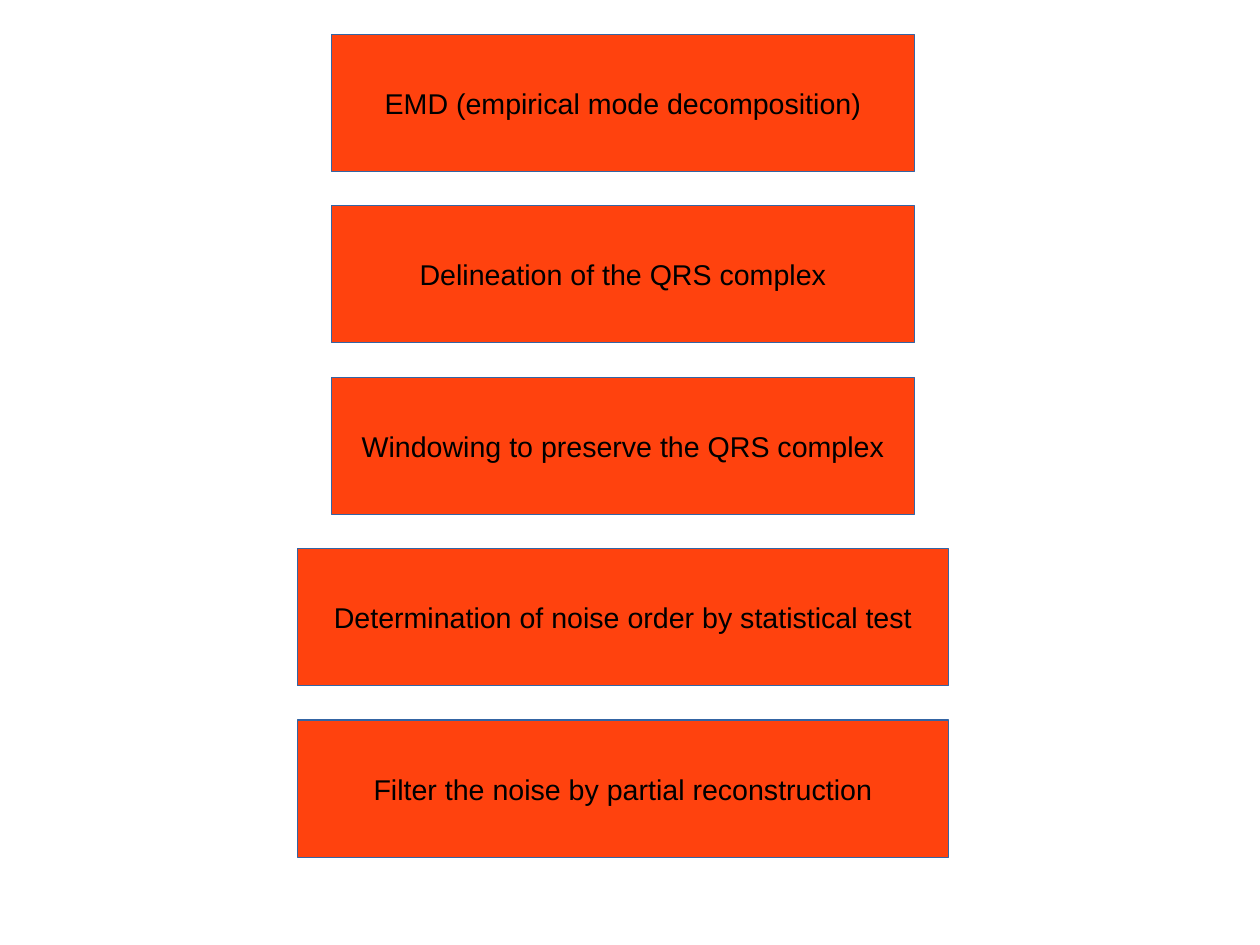
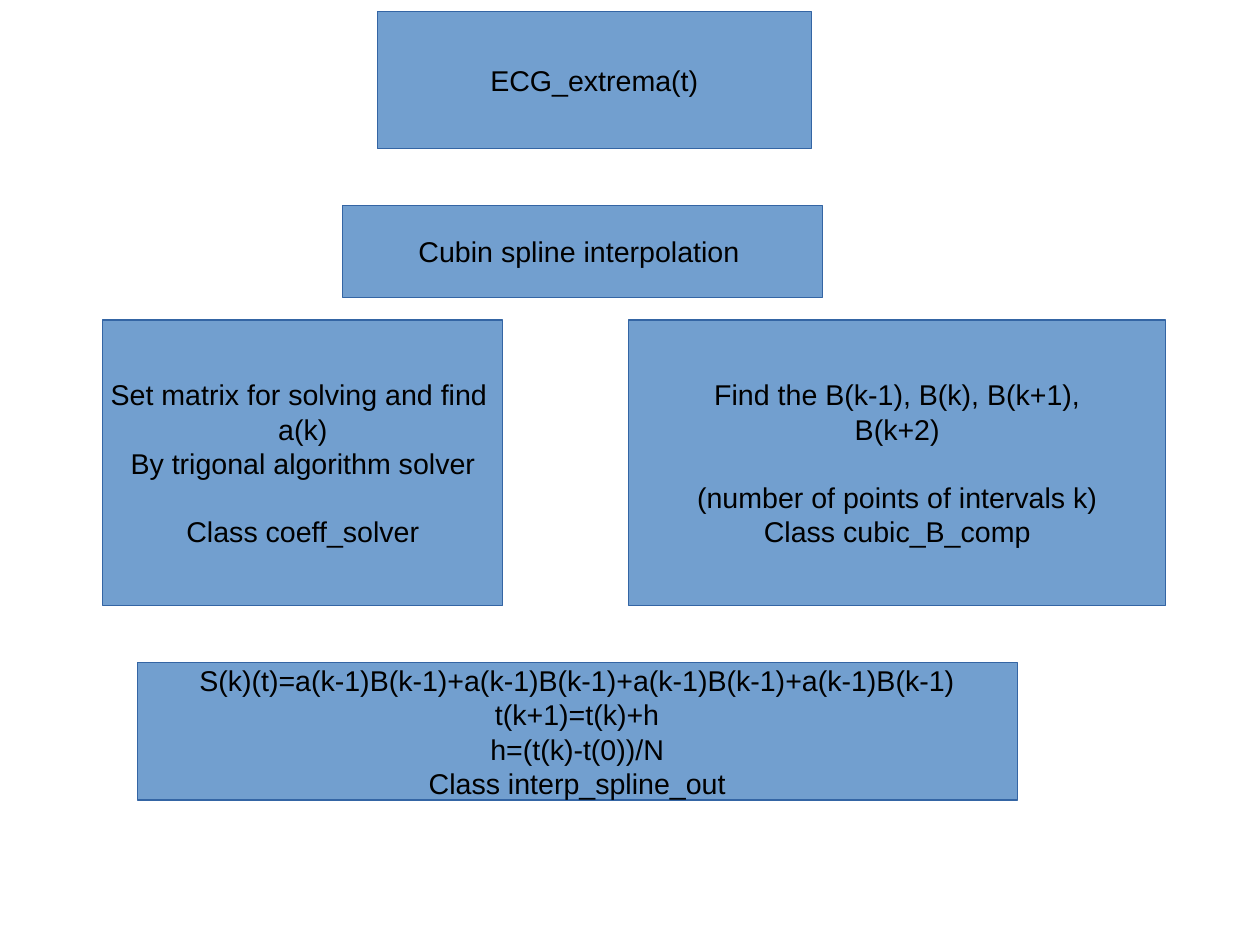
"""Builds two slides of boxes: the ECG noise filter steps and the spline steps."""
from pptx import Presentation
from pptx.dml.color import RGBColor
from pptx.enum.shapes import MSO_SHAPE
from pptx.enum.text import MSO_ANCHOR, PP_ALIGN
from pptx.util import Pt

SLIDE_WIDTH, SLIDE_HEIGHT = 793.7, 595.28
ORANGE = RGBColor(0xFF, 0x42, 0x0E)
BLUE = RGBColor(0x72, 0x9F, 0xCF)
OUTLINE = RGBColor(0x34, 0x65, 0xA4)
BLACK = RGBColor(0, 0, 0)
FONT, FONT_SIZE, GROUP_GAP = "Arial", 18, 21.6

# Filter steps from top to bottom: box width, text
FILTER_STEPS = [
    (367.2, "EMD (empirical mode decomposition)"),
    (367.2, "Delineation of the QRS complex"),
    (367.2, "Windowing to preserve the QRS complex"),
    (410.4, "Determination of noise order by statistical test"),
    (410.4, "Filter the noise by partial reconstruction"),
]
STEP_CENTER, STEP_TOP, STEP_HEIGHT, STEP_GAP = 392.4, 21.6, 86.4, 21.6

# Spline boxes: (left, top, width, height), groups of lines set apart by a gap
SPLINE_BOXES = [
    ((216, 129.6, 302.4, 57.6), [["Cubin spline interpolation "]]),
    ((237.6, 7.2, 273.6, 86.4), [["ECG_extrema(t)"]]),
    ((396, 201.6, 338.4, 180), [
        ["Find the B(k-1), B(k), B(k+1),", "B(k+2)"],
        ["(number of points of intervals k)", "Class cubic_B_comp"],
    ]),
    ((64.8, 201.6, 252, 180), [
        ["Set matrix for solving and find ", "a(k)", "By trigonal algorithm solver"],
        ["Class coeff_solver"],
    ]),
    ((86.4, 417.6, 554.4, 86.4), [[
        "S(k)(t)=a(k-1)B(k-1)+a(k-1)B(k-1)+a(k-1)B(k-1)+a(k-1)B(k-1)",
        "t(k+1)=t(k)+h",
        "h=(t(k)-t(0))/N",
        "Class interp_spline_out",
    ]]),
]


def add_box(slide, bounds, groups, fill):
    """Add an outlined box with centred lines and a gap between line groups."""
    shape = slide.shapes.add_shape(MSO_SHAPE.RECTANGLE, *map(Pt, bounds))
    shape.shadow.inherit = False
    shape.fill.solid()
    shape.fill.fore_color.rgb = fill
    shape.line.color.rgb = OUTLINE
    shape.line.width = Pt(0.75)
    text_frame = shape.text_frame
    text_frame.word_wrap = False
    text_frame.vertical_anchor = MSO_ANCHOR.MIDDLE
    text_frame.text = "\n".join(line for group in groups for line in group)
    for paragraph in text_frame.paragraphs:
        paragraph.alignment = PP_ALIGN.CENTER
        font = paragraph.runs[0].font
        font.name, font.size = FONT, Pt(FONT_SIZE)
        font.color.rgb = BLACK
    first_line = 0
    for group in groups[:-1]:
        first_line += len(group)
        text_frame.paragraphs[first_line].space_before = Pt(GROUP_GAP)


def add_filter_slide(presentation):
    """Stack the filter steps on one centre line at equal gaps."""
    slide = presentation.slides.add_slide(presentation.slide_layouts[6])
    for index, (width, text) in enumerate(FILTER_STEPS):
        top = STEP_TOP + index * (STEP_HEIGHT + STEP_GAP)
        bounds = (STEP_CENTER - width / 2, top, width, STEP_HEIGHT)
        add_box(slide, bounds, [[text]], ORANGE)


def add_spline_slide(presentation):
    """Place the boxes of the spline interpolation."""
    slide = presentation.slides.add_slide(presentation.slide_layouts[6])
    for bounds, groups in SPLINE_BOXES:
        add_box(slide, bounds, groups, BLUE)


def main():
    """Build and save the presentation."""
    presentation = Presentation()
    presentation.slide_width = Pt(SLIDE_WIDTH)
    presentation.slide_height = Pt(SLIDE_HEIGHT)
    add_filter_slide(presentation)
    add_spline_slide(presentation)
    presentation.save("out.pptx")


main()
